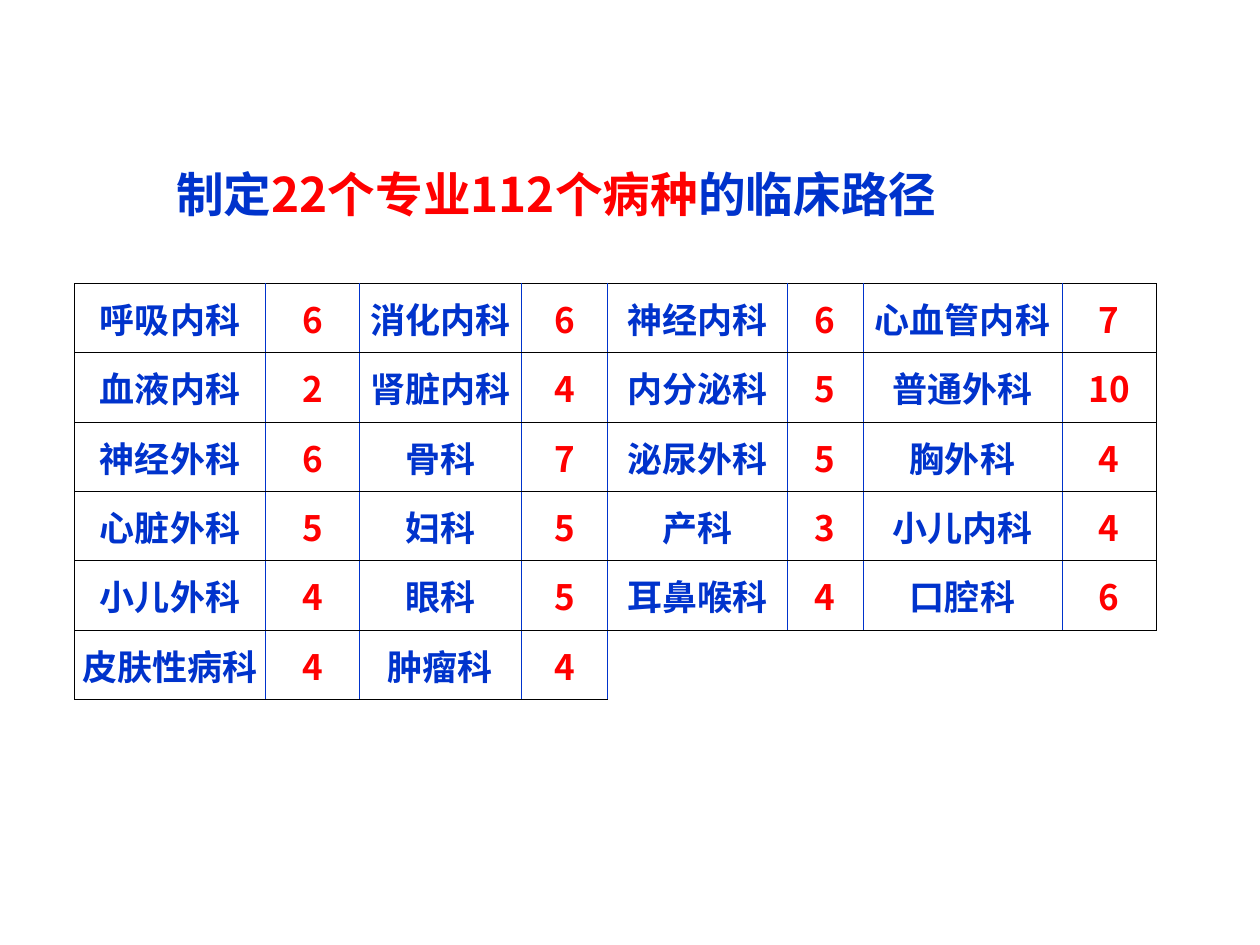
from lxml.etree import SubElement as Sub
from pptx import Presentation
from pptx.dml.color import RGBColor as RGB
from pptx.enum.text import MSO_ANCHOR as Anchor, PP_ALIGN as Align
from pptx.oxml.ns import qn
from pptx.util import Inches, Pt

FONT = "Noto Sans CJK SC"
HUES = {"blue": "0033CC", "red": "FF0000", "black": "000000"}


def style(run, size, hue):
    run.font.size = Pt(size)
    run.font.bold = True
    run.font.name = FONT
    run.font.color.rgb = RGB.from_string(HUES[hue])
    Sub(run.font._element, qn("a:ea")).set("typeface", FONT)


def edge(cell, sides):
    props = cell._tc.get_or_add_tcPr()
    for side, hue in zip(("L", "R", "T", "B"), sides):
        line = Sub(props, qn(f"a:ln{side}"), w=str(Pt(0.45)))
        if hue:
            fill = Sub(line, qn("a:solidFill"))
            Sub(fill, qn("a:srgbClr")).set("val", HUES[hue])
        else:
            Sub(line, qn("a:noFill"))


deck = Presentation()
deck.slide_width, deck.slide_height = Inches(10), Inches(7.5)
slide = deck.slides.add_slide(deck.slide_layouts[6])

title = slide.shapes.add_textbox(Inches(1.3), Inches(1.31), Inches(7.13), Inches(0.55))
title.text_frame.word_wrap = True
para = title.text_frame.paragraphs[0]
para.line_spacing = 0.9
for text, hue in [("制定", "blue"), ("22个专业112个病种", "red"), ("的临床路径", "blue")]:
    run = para.add_run()
    run.text = text
    style(run, 27.2, hue)

rows = [
    ["呼吸内科", 6, "消化内科", 6, "神经内科", 6, "心血管内科", 7],
    ["血液内科", 2, "肾脏内科", 4, "内分泌科", 5, "普通外科", 10],
    ["神经外科", 6, "骨科", 7, "泌尿外科", 5, "胸外科", 4],
    ["心脏外科", 5, "妇科", 5, "产科", 3, "小儿内科", 4],
    ["小儿外科", 4, "眼科", 5, "耳鼻喉科", 4, "口腔科", 6],
    ["皮肤性病科", 4, "肿瘤科", 4],
]
widths = [1.52, 0.74, 1.29, 0.68, 1.43, 0.6, 1.58, 0.75]
last = len(widths) - 1
frame = slide.shapes.add_table(
    len(rows), len(widths), Inches(0.59), Inches(2.25), Inches(8.58), Inches(3.31)
)
table = frame.table
table.first_row = table.horz_banding = False
for col, width in zip(table.columns, widths):
    col.width = Inches(width)
for row in table.rows:
    row.height = Inches(0.55)

for r, row in enumerate(rows):
    for c in range(len(widths)):
        cell = table.cell(r, c)
        if c >= len(row):
            edge(cell, ("blue" if c == len(row) else None, None, "black", None))
            cell.fill.background()
            continue
        left = "black" if c == 0 else "blue"
        right = "black" if c == last else "blue"
        edge(cell, (left, right, "black", "black"))
        cell.fill.background()
        cell.vertical_anchor = Anchor.MIDDLE
        cell.margin_left = cell.margin_right = Inches(0.04)
        cell.margin_top = cell.margin_bottom = Inches(0.05)
        cell.text_frame.text = str(row[c])
        para = cell.text_frame.paragraphs[0]
        para.alignment = Align.CENTER
        style(para.runs[0], 20, "red" if c % 2 else "blue")

table.cell(5, 4).merge(table.cell(5, last))

deck.save("out.pptx")
